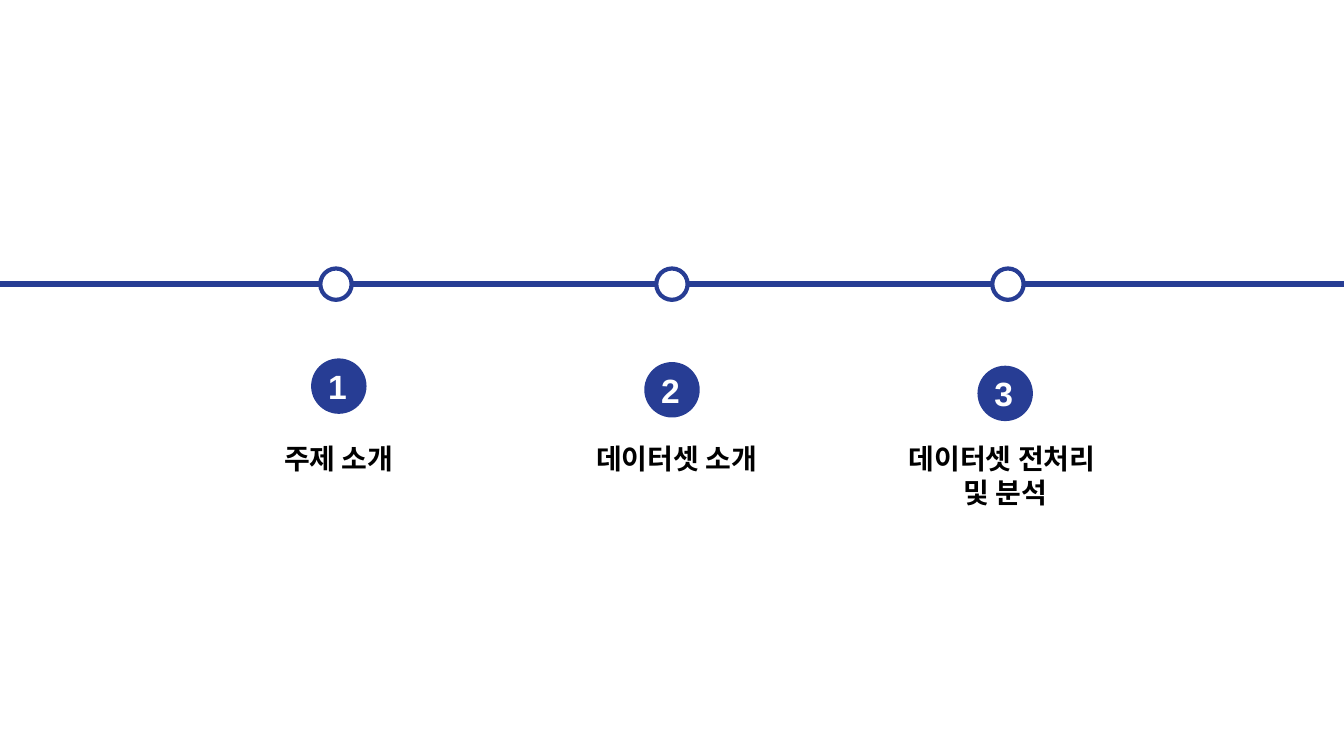
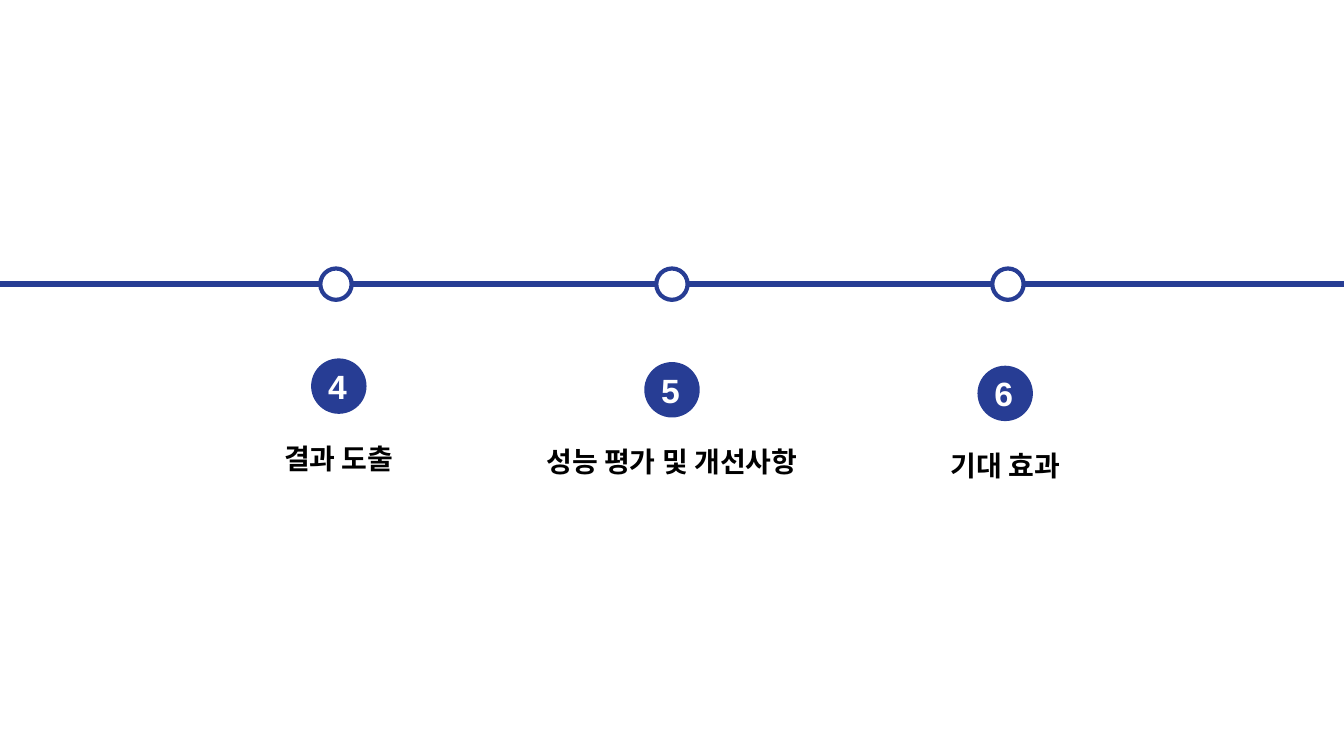
import dataclasses

import lxml.etree
import pptx
import pptx.dml.color
import pptx.enum.shapes
import pptx.enum.text
import pptx.oxml.ns
import pptx.util

Pt = pptx.util.Pt
RGB = pptx.dml.color.RGBColor


@dataclasses.dataclass(frozen=True)
class Theme:
    blue: RGB = RGB(0x27, 0x3D, 0x94)
    white: RGB = RGB(255, 255, 255)
    black: RGB = RGB(0, 0, 0)
    font: str = "Arial"
    digit: int = 24
    label: int = 20


THEME = Theme()
WIDE, HIGH = 960, 540
AXIS = 203
RING, BADGE = 22.4, 39.6
FIRST, STEP = 242, 238      # centre of the first badge, gap between centres
TOP, DROP = 275.8, 2.6      # centre height of the first badge, fall per badge
LABEL_W, LABEL_H, LABEL_Y = 286, 31.6, 311.8

# Each slide: first number, then (label, shift right, shift down) per stop.
AGENDA = [
    (1, [("주제 소개", 0, 0),
         ("데이터셋 소개", 3.4, 0),
         ("데이터셋 전처리 \v및 분석", 0, 0)]),
    (4, [("결과 도출", 0, 0),
         ("성능 평가 및 개선사항", 0, 2.4),
         ("기대 효과", 0, 5)]),
]


def write(frame, text, size, color):
    frame.text = text
    para = frame.paragraphs[0]
    para.alignment = pptx.enum.text.PP_ALIGN.CENTER
    para.font.name = THEME.font
    para.font.size = Pt(size)
    para.font.bold = True
    para.font.color.rgb = color


def add_disc(slide, x, y, size, fill):
    """Add a plain circle centred on x, y."""
    disc = slide.shapes.add_shape(
        pptx.enum.shapes.MSO_SHAPE.OVAL,
        Pt(x - size / 2), Pt(y - size / 2), Pt(size), Pt(size))
    disc.shadow.inherit = False
    disc.fill.solid()
    disc.fill.fore_color.rgb = fill
    disc.line.fill.background()
    return disc


def add_axis(slide):
    axis = slide.shapes.add_connector(
        pptx.enum.shapes.MSO_CONNECTOR.STRAIGHT,
        Pt(0), Pt(AXIS), Pt(WIDE), Pt(AXIS))
    axis.line.color.rgb = THEME.blue
    axis.line.width = Pt(4.5)
    props = axis.element.spPr
    lxml.etree.SubElement(props, pptx.oxml.ns.qn("a:effectLst"))


def add_ring(slide, x):
    ring = add_disc(slide, x, AXIS, RING, THEME.white)
    ring.line.color.rgb = THEME.blue
    ring.line.width = Pt(3)


def add_badge(slide, x, y, number):
    badge = add_disc(slide, x, y, BADGE, THEME.blue)
    frame = badge.text_frame
    frame.margin_left = frame.margin_top = frame.margin_bottom = 0
    frame.margin_right = Pt(2)
    frame.word_wrap = False
    frame.vertical_anchor = pptx.enum.text.MSO_ANCHOR.MIDDLE
    write(frame, str(number), THEME.digit, THEME.white)


def add_label(slide, x, y, text):
    box = slide.shapes.add_textbox(
        Pt(x - LABEL_W / 2), Pt(y), Pt(LABEL_W), Pt(LABEL_H))
    frame = box.text_frame
    frame.word_wrap = True
    frame.auto_size = pptx.enum.text.MSO_AUTO_SIZE.SHAPE_TO_FIT_TEXT
    write(frame, text, THEME.label, THEME.black)


def add_agenda(deck, start, stops):
    slide = deck.slides.add_slide(deck.slide_layouts[6])
    add_axis(slide)
    for i, (text, right, down) in enumerate(stops):
        x = FIRST + i * STEP
        add_ring(slide, WIDE * (i + 1) / (len(stops) + 1))
        add_badge(slide, x, TOP + i * DROP, start + i)
        add_label(slide, x + right, LABEL_Y + down, text)


def main():
    deck = pptx.Presentation()
    deck.slide_width, deck.slide_height = Pt(WIDE), Pt(HIGH)
    for start, stops in AGENDA:
        add_agenda(deck, start, stops)
    deck.save("out.pptx")


if __name__ == "__main__":
    main()
